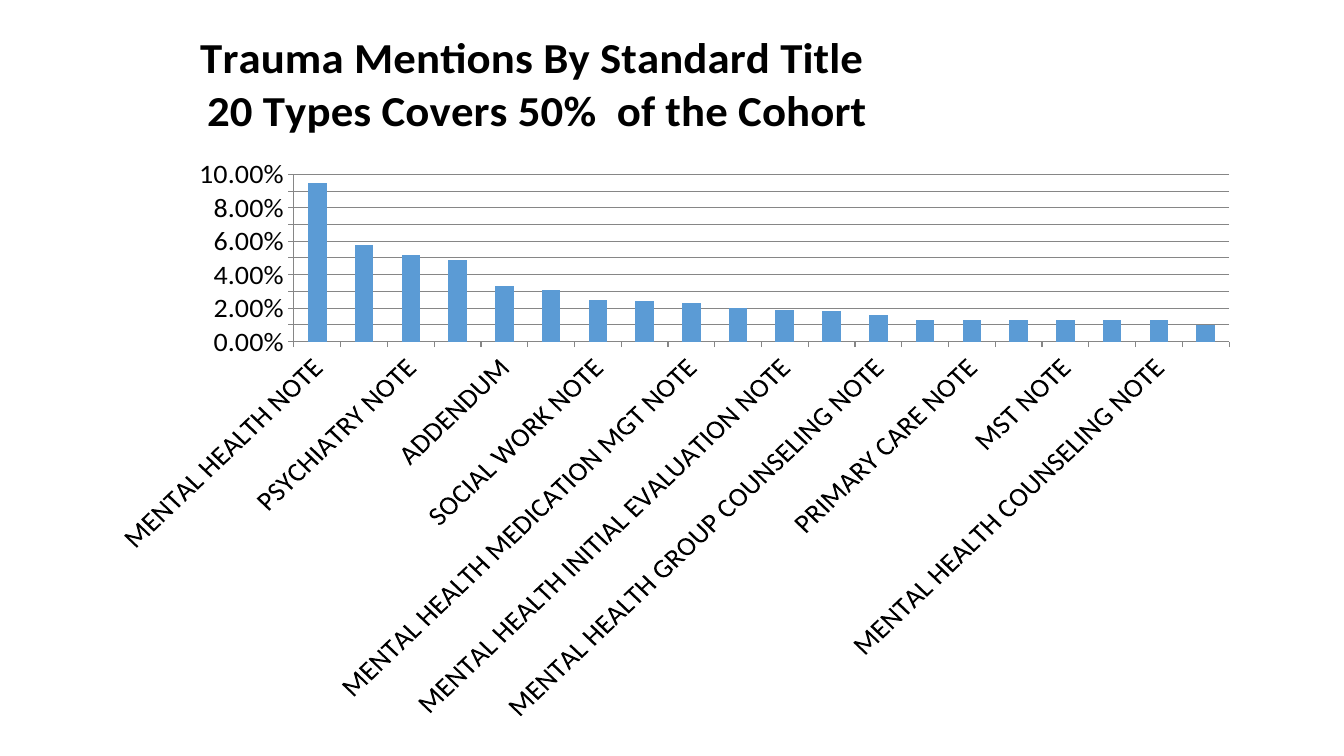
import pptx
import pptx.chart.data
import pptx.dml.color
import pptx.enum.chart
import pptx.enum.text
import pptx.oxml
import pptx.oxml.ns
import pptx.util

BLACK = pptx.dml.color.RGBColor(0x00, 0x00, 0x00)
GREY = pptx.dml.color.RGBColor(0x86, 0x86, 0x86)
BLUE = pptx.dml.color.RGBColor(0x5B, 0x9B, 0xD5)
FONT = "Calibri"

NOTE_SHARES = {
    "MENTAL HEALTH NOTE": 0.095,
    "C  P EXAMINATION NOTE": 0.058,
    "PSYCHIATRY NOTE": 0.052,
    "PSYCHOLOGY NOTE": 0.049,
    "ADDENDUM": 0.033,
    "MENTAL HEALTH OUTPATIENT NOTE": 0.031,
    "SOCIAL WORK NOTE": 0.025,
    "GROUP COUNSELING NOTE": 0.024,
    "MENTAL HEALTH MEDICATION MGT NOTE": 0.023,
    "MENTAL HEALTH TREATMENT PLAN NOTE": 0.02,
    "MENTAL HEALTH INITIAL EVALUATION NOTE": 0.019,
    "MENTAL HEALTH CONSULT": 0.018,
    "MENTAL HEALTH GROUP COUNSELING NOTE": 0.016,
    "PSYCHOLOGY GROUP COUNSELING NOTE": 0.013,
    "PRIMARY CARE NOTE": 0.013,
    "PSYCHIATRY E  M NOTE": 0.013,
    "MST NOTE": 0.013,
    "PSYCHIATRY OUTPATIENT NOTE": 0.013,
    "MENTAL HEALTH COUNSELING NOTE": 0.013,
    "WOMENS HEALTH NOTE": 0.01,
}


def write_line(para, text, size, bold=False, color=BLACK):
    para.alignment = pptx.enum.text.PP_ALIGN.CENTER
    span = para.add_run()
    span.text = text
    span.font.name = FONT
    span.font.size = pptx.util.Pt(size)
    span.font.bold = bold
    span.font.color.rgb = color


deck = pptx.Presentation()
deck.slide_width = pptx.util.Inches(13.33)
deck.slide_height = pptx.util.Inches(7.5)
slide = deck.slides.add_slide(deck.slide_layouts[6])

# Column chart
data = pptx.chart.data.CategoryChartData(number_format="0.00%")
data.categories = list(NOTE_SHARES)
data.add_series("Series 1", NOTE_SHARES.values())
chart = slide.shapes.add_chart(
    pptx.enum.chart.XL_CHART_TYPE.COLUMN_CLUSTERED,
    pptx.util.Inches(0.92), pptx.util.Inches(0.27),
    pptx.util.Inches(11.5), pptx.util.Inches(6.9), data).chart
chart.has_legend = False
chart.font.name = FONT
chart.font.size = pptx.util.Pt(10)
chart.font.color.rgb = BLACK

plot = chart.plots[0]
plot.gap_width = 150
plot.vary_by_categories = False
bars = plot.series[0].format.fill
bars.solid()
bars.fore_color.rgb = BLUE

# Title, left of the middle, placed by shares of the chart's size
chart.has_title = True
frame = chart.chart_title.text_frame
write_line(frame.paragraphs[0], "Trauma Mentions By Standard Title ", size=32, bold=True)
write_line(frame.add_paragraph(), "20 Types Covers 50%  of the Cohort", size=32, bold=True)
chart.chart_title.include_in_layout = False
title = chart.element.xpath("./c:chart/c:title")[0]
for layout in title.findall(pptx.oxml.ns.qn("c:layout")):
    title.remove(layout)
title.insert(1, pptx.oxml.parse_xml(
    f'<c:layout {pptx.oxml.ns.nsdecls("c")}><c:manualLayout>'
    '<c:xMode val="edge"/><c:yMode val="edge"/><c:x val="0.09"/><c:y val="0"/>'
    '</c:manualLayout></c:layout>'))

# Axes
for axis in (chart.category_axis, chart.value_axis):
    axis.major_tick_mark = pptx.enum.chart.XL_TICK_MARK.OUTSIDE
    axis.minor_tick_mark = pptx.enum.chart.XL_TICK_MARK.NONE
    axis.format.line.color.rgb = GREY
    axis.format.line.width = pptx.util.Pt(0.75)
    axis.tick_labels.font.name = FONT
    axis.tick_labels.font.size = pptx.util.Pt(20)
    axis.tick_labels.font.color.rgb = BLACK

shares_axis = chart.value_axis
shares_axis.minimum_scale = 0
shares_axis.maximum_scale = 0.1
shares_axis.major_unit = 0.01
shares_axis.tick_labels.number_format = "0.00%"
shares_axis.tick_labels.number_format_is_linked = False
shares_axis.has_major_gridlines = True
shares_axis.major_gridlines.format.line.color.rgb = GREY
shares_axis.major_gridlines.format.line.width = pptx.util.Pt(0.75)

# Slanted names under every second bar
chart.element.xpath(".//c:catAx/c:txPr/a:bodyPr")[0].set("rot", str(-45 * 60000))
chart.element.xpath(".//c:catAx/c:noMultiLvlLbl")[0].addprevious(
    pptx.oxml.parse_xml(f'<c:tickLblSkip {pptx.oxml.ns.nsdecls("c")} val="2"/>'))

deck.save("out.pptx")
